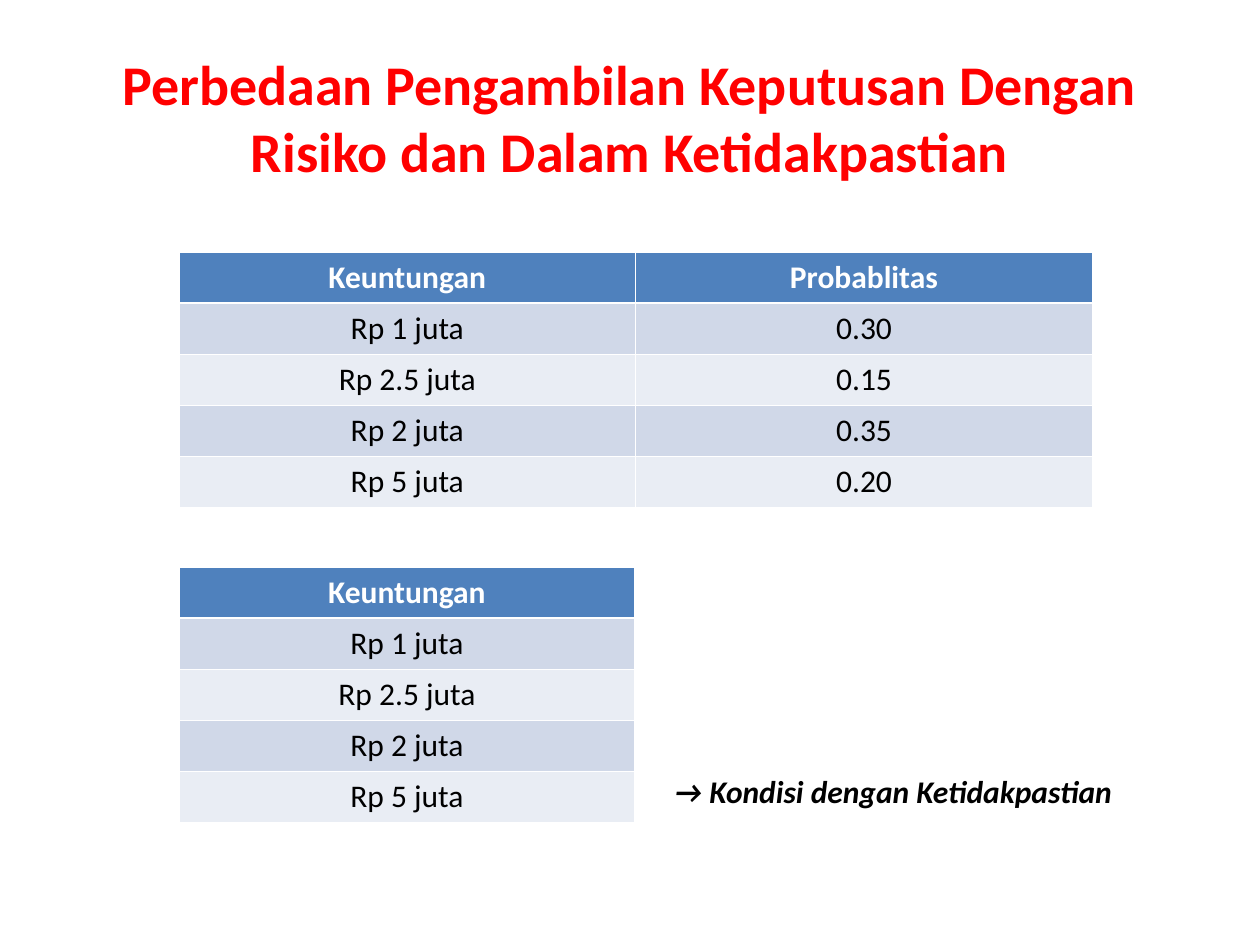
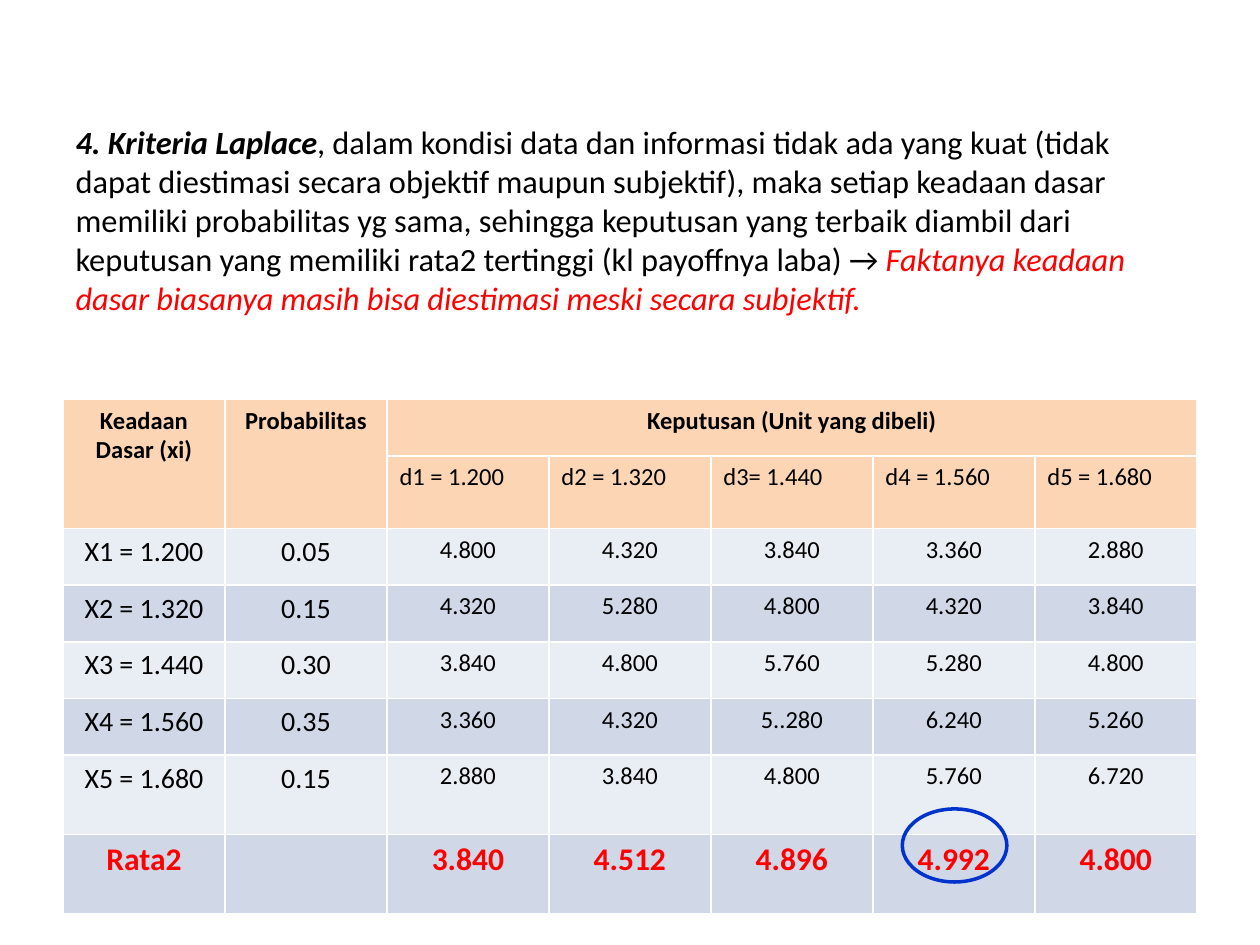
from collections import namedtuple

from lxml import etree
from pptx import Presentation
from pptx.dml.color import RGBColor
from pptx.enum.shapes import MSO_SHAPE
from pptx.enum.text import MSO_ANCHOR, MSO_AUTO_SIZE, PP_ALIGN
from pptx.oxml.ns import qn
from pptx.util import Inches, Pt

LEFT, CENTER = PP_ALIGN.LEFT, PP_ALIGN.CENTER
MIDDLE, TOP = MSO_ANCHOR.MIDDLE, MSO_ANCHOR.TOP
NO_FIT = MSO_AUTO_SIZE.NONE
ELLIPSE = MSO_SHAPE.OVAL

FONT = "Calibri"
BLACK, WHITE, RED = "000000", "FFFFFF", "FF0000"
HEADER_BLUE, HEADER_PEACH, RING_BLUE = "4F81BD", "FCD5B5", "0033CC"
BANDS = ("D0D8E8", "E9EDF4")
TITLE_AND_CONTENT, TITLE_ONLY = 1, 5

Box = namedtuple("Box", "left top width height")

PROFITS = ["Rp 1 juta", "Rp 2.5 juta", "Rp 2 juta", "Rp 5 juta"]
PROBABILITIES = ["0.30", "0.15", "0.35", "0.20"]
DECISIONS = ["d1 = 1.200", "d2 = 1.320", "d3= 1.440", "d4 = 1.560", "d5 = 1.680"]
PAYOFFS = [
    ["X1 = 1.200", "0.05", "4.800", "4.320", "3.840", "3.360", "2.880"],
    ["X2 = 1.320", "0.15", "4.320", "5.280", "4.800", "4.320", "3.840"],
    ["X3 = 1.440", "0.30", "3.840", "4.800", "5.760", "5.280", "4.800"],
    ["X4 = 1.560", "0.35", "3.360", "4.320", "5..280", "6.240", "5.260"],
    ["X5 = 1.680", "0.15", "2.880", "3.840", "4.800", "5.760", "6.720"],
]
AVERAGES = ["Rata2", "", "3.840", "4.512", "4.896", "4.992", "4.800"]
BEST_COLUMN = 5


def color(code):
    """Turn a hex string into a colour."""
    return RGBColor.from_string(code)


def write(para, text, size=18, code=BLACK, bold=False, italic=False, align=LEFT):
    """Append a formatted span to a paragraph."""
    para.alignment = align
    span = para.add_run()
    span.text = text
    span.font.name, span.font.size = FONT, Pt(size)
    span.font.bold, span.font.italic = bold, italic
    span.font.color.rgb = color(code)


def place(shape, box):
    """Move and size a shape to a box in inches."""
    shape.left, shape.top, shape.width, shape.height = map(Inches, box)


def prepare_frame(shape, box, anchor=TOP):
    """Place a text shape and return its first paragraph."""
    place(shape, box)
    frame = shape.text_frame
    frame.word_wrap = True
    frame.auto_size = NO_FIT
    frame.vertical_anchor = anchor
    return frame.paragraphs[0]


def add_grid(page, box, row_heights, column_count):
    """Add a table with equal columns and the given row heights."""
    table = page.shapes.add_table(len(row_heights), column_count, *map(Inches, box)).table
    for column in table.columns:
        column.width = Inches(box.width / column_count)
    for row, height in zip(table.rows, row_heights):
        row.height = Inches(height)
    return table


def fill_cell(cell, text, fill, **style):
    """Fill a table cell and write its text."""
    cell.fill.solid()
    cell.fill.fore_color.rgb = color(fill)
    if text:
        write(cell.text_frame.paragraphs[0], text, **style)


def add_profit_table(page, box, columns):
    """Add a banded table from a mapping of headings to values."""
    row_count = len(PROFITS) + 1
    table = add_grid(page, box, [box.height / row_count] * row_count, len(columns))
    for column, (heading, values) in enumerate(columns.items()):
        fill_cell(table.cell(0, column), heading, HEADER_BLUE,
                  code=WHITE, bold=True, align=CENTER)
        for row, value in enumerate(values, 1):
            fill_cell(table.cell(row, column), value, BANDS[(row - 1) % 2], align=CENTER)


def add_payoff_header(table):
    """Write the two merged heading rows of the payoff table."""
    headings = ["Keadaan Dasar (xi)", "Probabilitas", "Keputusan (Unit yang dibeli)"]
    for column, heading in enumerate(headings):
        end = (1, column) if column < 2 else (0, 6)
        table.cell(0, column).merge(table.cell(*end))
        fill_cell(table.cell(0, column), heading, HEADER_PEACH,
                  size=14, bold=True, align=CENTER)
    for column, decision in enumerate(DECISIONS, 2):
        fill_cell(table.cell(1, column), decision, HEADER_PEACH, size=14)


def add_payoff_table(page, box):
    """Add the payoff table and ring its best average."""
    table = add_grid(page, box, [0.45] * 6 + [0.63] * 2, len(AVERAGES))
    add_payoff_header(table)
    for row, values in enumerate(PAYOFFS + [AVERAGES], 2):
        for column, value in enumerate(values):
            if values is AVERAGES:
                style = {"size": 18, "code": RED, "bold": True}
            else:
                style = {"size": 16 if column < 2 else 14}
            fill_cell(table.cell(row, column), value, BANDS[(row - 1) % 2],
                      align=CENTER, **style)
    center = box.left + (BEST_COLUMN + 0.5) * box.width / len(AVERAGES)
    add_ring(page, Box(center - 0.41, box.top + 3.25, 0.83, 0.58))


def add_ring(page, box):
    """Add an unfilled ellipse."""
    ring = page.shapes.add_shape(ELLIPSE, *map(Inches, box))
    ring.shadow.inherit = False
    ring.fill.background()
    ring.line.color.rgb = color(RING_BLUE)
    ring.line.width = Pt(2)


def add_criterion(body, box):
    """Write the Laplace criterion without a bullet."""
    para = prepare_frame(body, box)
    para.space_before = Pt(3.7)
    write(para, "4. Kriteria Laplace", size=18.5, bold=True, italic=True)
    write(para, ", dalam kondisi data dan informasi tidak ada yang kuat (tidak dapat "
          "diestimasi secara objektif maupun subjektif), maka setiap keadaan dasar "
          "memiliki probabilitas yg sama, sehingga keputusan yang terbaik diambil dari "
          "keputusan yang memiliki rata2 tertinggi (kl payoffnya laba) → ", size=18.5)
    write(para, "Faktanya keadaan dasar biasanya masih bisa diestimasi meski secara "
          "subjektif.", size=18.5, code=RED, italic=True)
    properties = para._p.get_or_add_pPr()
    properties.set("marL", "0")
    properties.set("indent", "0")
    etree.SubElement(properties, qn("a:buNone"))


def build_comparison(deck):
    """Build the slide that compares risk with uncertainty."""
    page = deck.slides.add_slide(deck.slide_layouts[TITLE_ONLY])
    title = prepare_frame(page.shapes.title, Box(0.5, 0.3, 9, 1.25), MIDDLE)
    write(title, "Perbedaan Pengambilan Keputusan Dengan Risiko dan Dalam Ketidakpastian",
          size=32, code=RED, bold=True, align=CENTER)
    add_profit_table(page, Box(1.42, 2, 7.25, 2.03),
                     {"Keuntungan": PROFITS, "Probablitas": PROBABILITIES})
    add_profit_table(page, Box(1.42, 4.5, 3.62, 2.03), {"Keuntungan": PROFITS})
    box = Box(5.25, 6.08, 4, 0.4)
    note = prepare_frame(page.shapes.add_textbox(*map(Inches, box)), box)
    write(note, "→ Kondisi dengan Ketidakpastian", bold=True, italic=True)


def build_laplace(deck):
    """Build the slide on the Laplace criterion."""
    page = deck.slides.add_slide(deck.slide_layouts[TITLE_AND_CONTENT])
    title = page.shapes.title.element
    title.getparent().remove(title)
    add_criterion(page.placeholders[1], Box(0.5, 0.92, 9, 1.83))
    add_payoff_table(page, Box(0.5, 3.17, 9, 3.96))


def main():
    """Build and save the deck."""
    deck = Presentation()
    deck.slide_width, deck.slide_height = Inches(10), Inches(7.5)
    build_comparison(deck)
    build_laplace(deck)
    deck.save("out.pptx")


if __name__ == "__main__":
    main()
